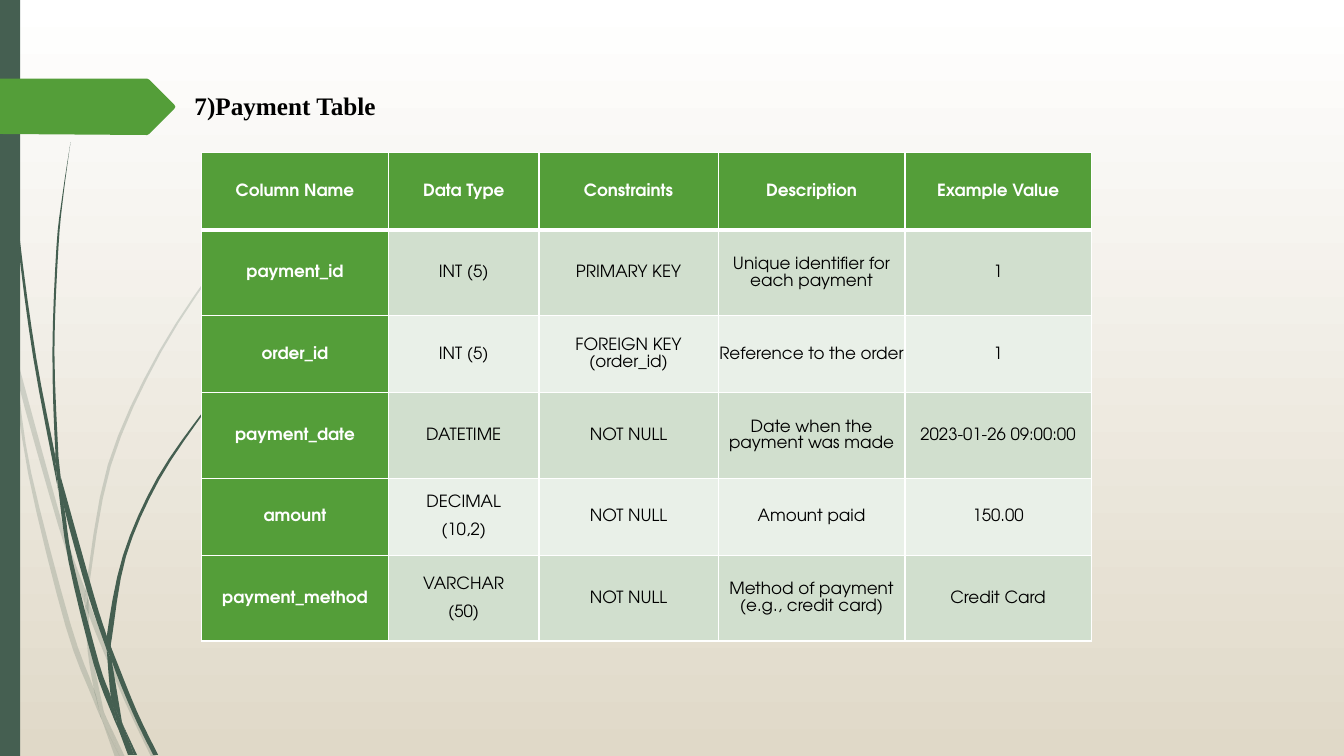
"""Build the slide that describes the payment table."""
from lxml import etree
from pptx import Presentation
from pptx import util as u
from pptx.dml.color import RGBColor
from pptx.enum import shapes, text
from pptx.oxml import ns

Pt = u.Pt
WHITE = RGBColor(0xFF, 0xFF, 0xFF)
BLACK = RGBColor(0, 0, 0)
SAND = RGBColor(0xE0, 0xD9, 0xC8)
PINE = RGBColor(0x45, 0x5F, 0x51)
GREEN = RGBColor(0x54, 0x9E, 0x39)
BANDS = RGBColor(0xE9, 0xF0, 0xE8), RGBColor(0xD1, 0xDF, 0xCE)

TITLE = "7)Payment Table"
ROWS = [
    ("Column Name", "Data Type", "Constraints", "Description", "Example Value"),
    ("payment_id", "INT (5)", "PRIMARY KEY", "Unique identifier for each payment", "1"),
    ("order_id", "INT (5)", "FOREIGN KEY (order_id)", "Reference to the order", "1"),
    ("payment_date", "DATETIME", "NOT NULL", "Date when the payment was made",
     "2023-01-26 09:00:00"),
    ("amount", "DECIMAL\n(10,2)", "NOT NULL", "Amount paid", "150.00"),
    ("payment_method", "VARCHAR\n(50)", "NOT NULL",
     "Method of payment (e.g., credit card)", "Credit Card"),
]
WIDTHS = [133.5, 107.5, 128, 133.5, 133]
HEIGHTS = [55.1, 61.2]

GRID = Pt(0.72)
STEPS = 4
ARROW = [(0, 78), (146, 78), (148, 79), (173, 104), (174, 106), (173, 108),
         (148, 133), (146, 134), (0, 133)]
PALE = [
    ([(11, 350), (9, 322), (0, 282)], [(0, 299), (10, 344), (11, 350)]),
    ([(14, 345), (17, 376), (58, 522), (84, 599)], [(85, 586), (62, 520), (14, 345)]),
    ([(88, 596), (88, 610), (123, 694), (150, 751)],
     [(155, 751), (127, 692), (92, 607), (88, 596)]),
    ([(119, 751), (124, 751)], [(105, 711), (119, 751)]),
    ([(11, 350), (28, 470), (65, 621), (92, 693), (101, 714)],
     [(99, 707), (93, 683), (70, 619), (31, 469), (17, 376), (11, 350)]),
    ([(84, 599), (87, 646), (93, 683), (96, 692), (105, 711)],
     [(103, 706), (91, 646), (88, 610), (88, 608), (84, 599)]),
    ([(88, 596), (88, 584), (110, 462), (160, 349), (229, 245), (268, 198),
      (290, 175), (312, 154)],
     [(312, 153), (289, 175), (268, 197), (228, 244), (158, 348), (107, 461),
      (85, 584), (85, 586), (88, 596)]),
    ([(101, 714), (114, 751)], [(119, 751), (101, 714)]),
    ([(88, 608), (88, 610), (88, 596)], [(85, 586), (84, 599), (88, 608)]),
    ([(93, 683), (99, 707), (101, 714), (119, 751)], [(105, 711), (96, 692), (93, 683)]),
]
DARK = [
    ([(3, 0), (4, 48), (7, 110), (17, 233), (33, 355), (56, 477), (57, 481)],
     [(55, 457), (55, 453), (36, 355), (19, 232), (8, 109), (5, 48), (4, 0)]),
    ([(60, 472), (64, 505), (88, 592), (106, 645)],
     [(106, 633), (106, 631), (93, 590), (60, 472)]),
    ([(110, 641), (111, 656), (132, 708), (152, 749)],
     [(157, 749), (136, 706), (113, 649), (110, 641)]),
    ([(57, 477), (68, 557), (93, 659), (111, 708), (117, 722)],
     [(116, 717), (110, 691), (98, 657), (72, 556), (64, 505), (57, 477)]),
    ([(70, 141), (62, 193), (56, 245), (52, 349), (55, 449), (60, 472)],
     [(58, 453), (54, 349), (58, 245), (63, 193), (70, 141)]),
    ([(133, 749), (136, 749)], [(122, 719), (133, 749)]),
    ([(55, 449), (55, 453), (57, 477), (64, 505)], [(60, 472), (55, 449)]),
    ([(110, 641), (111, 633), (125, 552), (158, 476), (205, 406), (231, 374),
      (245, 359), (261, 344)],
     [(260, 344), (245, 358), (231, 373), (204, 405), (156, 474), (122, 551),
      (106, 631), (110, 641)]),
    ([(117, 722), (127, 749)], [(131, 749), (117, 722)]),
    ([(106, 645), (110, 691), (116, 706), (122, 719)],
     [(121, 716), (111, 656), (109, 651), (106, 645)]),
    ([(106, 645), (109, 651), (111, 656), (110, 641)], [(106, 631), (106, 633), (106, 645)]),
    ([(110, 691), (116, 717), (117, 722), (130, 749)],
     [(133, 749), (122, 719), (116, 706), (110, 691)]),
]


def smooth(knots):
    """Return points on a Catmull-Rom curve through the knots."""
    ends = [knots[0], *knots, knots[-1]]
    curve = [knots[0]]
    for a, b, c, d in zip(ends, ends[1:], ends[2:], ends[3:]):
        for step in range(1, STEPS + 1):
            t = step / STEPS
            curve.append(tuple(
                (2 * q + (r - p) * t + (2 * p - 5 * q + 4 * r - s) * t ** 2
                 + (3 * q - p - 3 * r + s) * t ** 3) / 2
                for p, q, r, s in zip(a, b, c, d)))
    return curve


def paint(shape, color):
    """Give a shape a plain fill with no line or shadow."""
    shape.shadow.inherit = False
    shape.fill.solid()
    shape.fill.fore_color.rgb = color
    shape.line.fill.background()


def outline(tree, points, color):
    """Draw a closed polygon given in grid units."""
    spots = [(x * GRID, y * GRID) for x, y in points]
    pen = tree.build_freeform(*spots[0])
    pen.add_line_segments(spots[1:], close=True)
    shape = pen.convert_to_shape()
    paint(shape, color)
    return shape


def plant(tree, blades, alpha=None):
    """Draw one group of grass blades."""
    group = tree.add_group_shape()
    for left, right in blades:
        blade = outline(group.shapes, smooth(left) + smooth(right), PINE)
        if alpha:
            tint = blade.fill._xPr.find(".//" + ns.qn("a:srgbClr"))
            etree.SubElement(tint, ns.qn("a:alpha"), val=str(alpha * 1000))


def style(para, name, size, color, bold):
    """Set the font of a paragraph."""
    font = para.font
    font.name, font.size, font.bold = name, Pt(size), bold
    font.color.rgb = color


def border(cell, side, width):
    """Add a white border to one side of a cell."""
    line = etree.SubElement(cell._tc.get_or_add_tcPr(), ns.qn("a:ln" + side),
                            w=str(Pt(width)))
    fill = etree.SubElement(line, ns.qn("a:solidFill"))
    etree.SubElement(fill, ns.qn("a:srgbClr"), val=str(WHITE))


def fill_cell(cell, words, row, col):
    """Write and format one table cell."""
    head = row == 0 or col == 0
    thick = {"T": 3 if row == 1 else 1, "B": 3 if row == 0 else 1}
    for side in "LRTB":
        border(cell, side, thick.get(side, 1))
    cell.fill.solid()
    cell.fill.fore_color.rgb = GREEN if head else BANDS[row % 2]
    cell.vertical_anchor = text.MSO_ANCHOR.MIDDLE
    cell.margin_left = cell.margin_right = Pt(0.75)
    cell.margin_top = cell.margin_bottom = Pt(0.75)
    cell.text = words
    for para in cell.text_frame.paragraphs:
        para.alignment = text.PP_ALIGN.CENTER
        para.line_spacing, para.space_after = 1.07, Pt(8)
        style(para, "TeX Gyre Adventor", 12, WHITE if head else BLACK, head)


def main():
    """Build and save the slide."""
    deck = Presentation()
    deck.slide_width, deck.slide_height = Pt(960), Pt(540)
    slide = deck.slides.add_slide(deck.slide_layouts[6])
    back = slide.background.fill
    back.gradient()
    back.gradient_angle = 270
    for stop, color in zip(back.gradient_stops, (WHITE, SAND)):
        stop.color.rgb = color

    tree = slide.shapes
    plant(tree, PALE, 20)
    plant(tree, DARK)
    bar = tree.add_shape(shapes.MSO_SHAPE.RECTANGLE, 0, 0, Pt(14.4), Pt(540))
    paint(bar, PINE)
    outline(tree, ARROW, GREEN)

    frame = tree.add_textbox(Pt(131.8), Pt(59.8), Pt(480), Pt(28.8)).text_frame
    frame.word_wrap = True
    frame.auto_size = text.MSO_AUTO_SIZE.SHAPE_TO_FIT_TEXT
    para = frame.paragraphs[0]
    para.text, para.alignment = TITLE, text.PP_ALIGN.JUSTIFY
    para.line_spacing, para.space_after = 1.05, Pt(10)
    style(para, "Times New Roman", 18, BLACK, True)

    high = [HEIGHTS[i % 2] for i in range(len(ROWS))]
    table = tree.add_table(len(ROWS), len(WIDTHS), Pt(144), Pt(109),
                           Pt(sum(WIDTHS)), Pt(sum(high))).table
    for col, width in zip(table.columns, WIDTHS):
        col.width = Pt(width)
    for r, (row, words) in enumerate(zip(table.rows, ROWS)):
        row.height = Pt(high[r])
        for c, word in enumerate(words):
            fill_cell(table.cell(r, c), word, r, c)
    deck.save("out.pptx")


if __name__ == "__main__":
    main()
